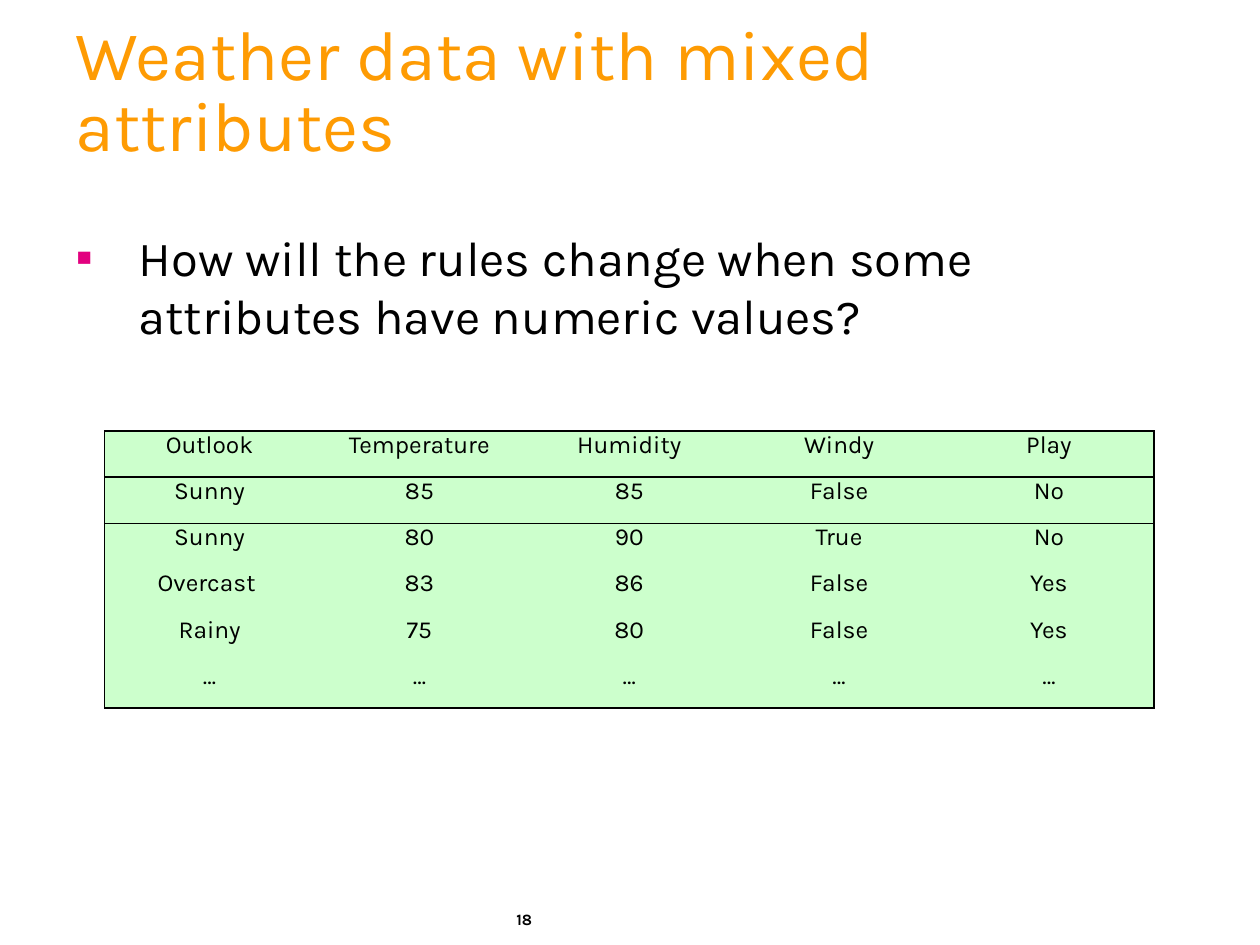
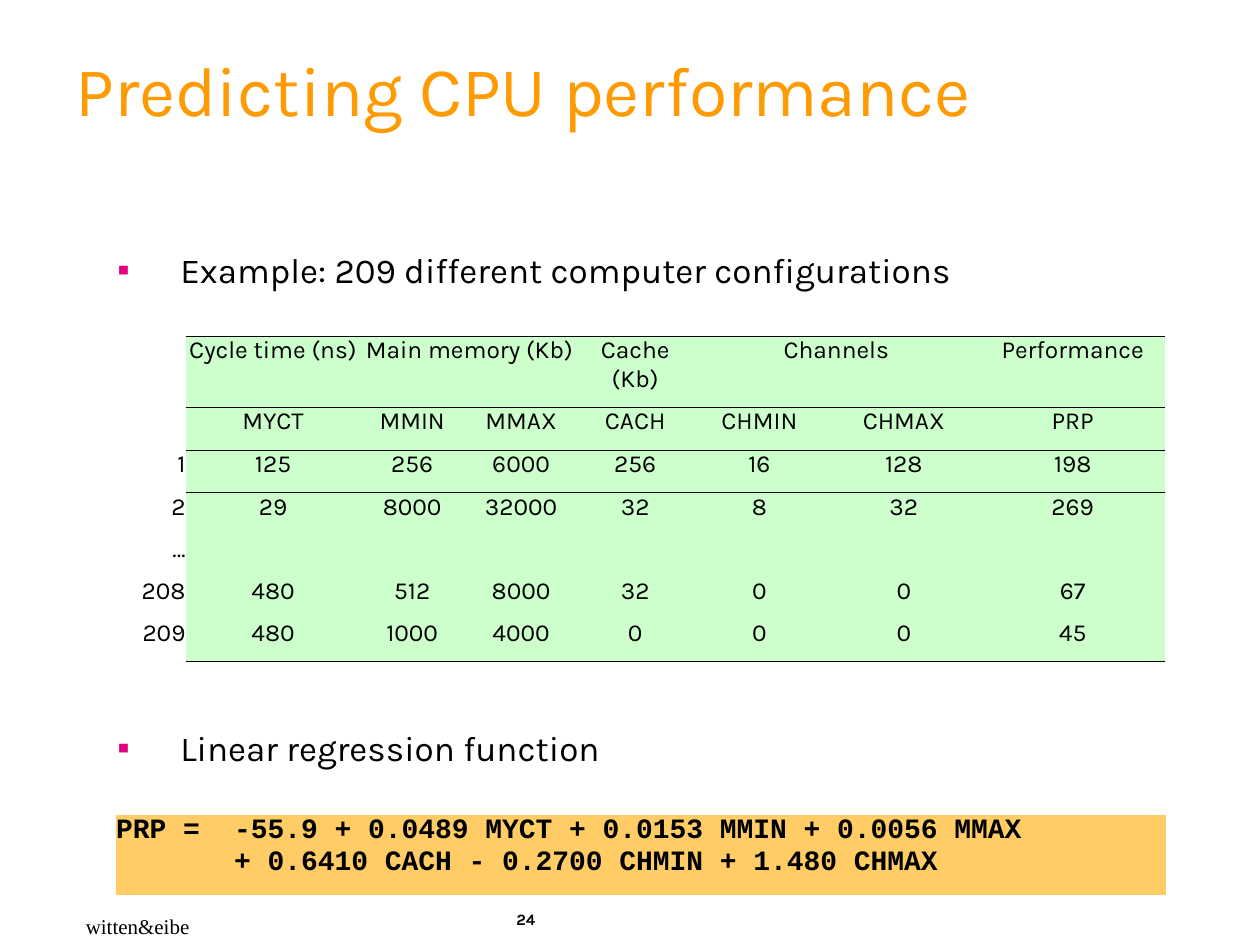
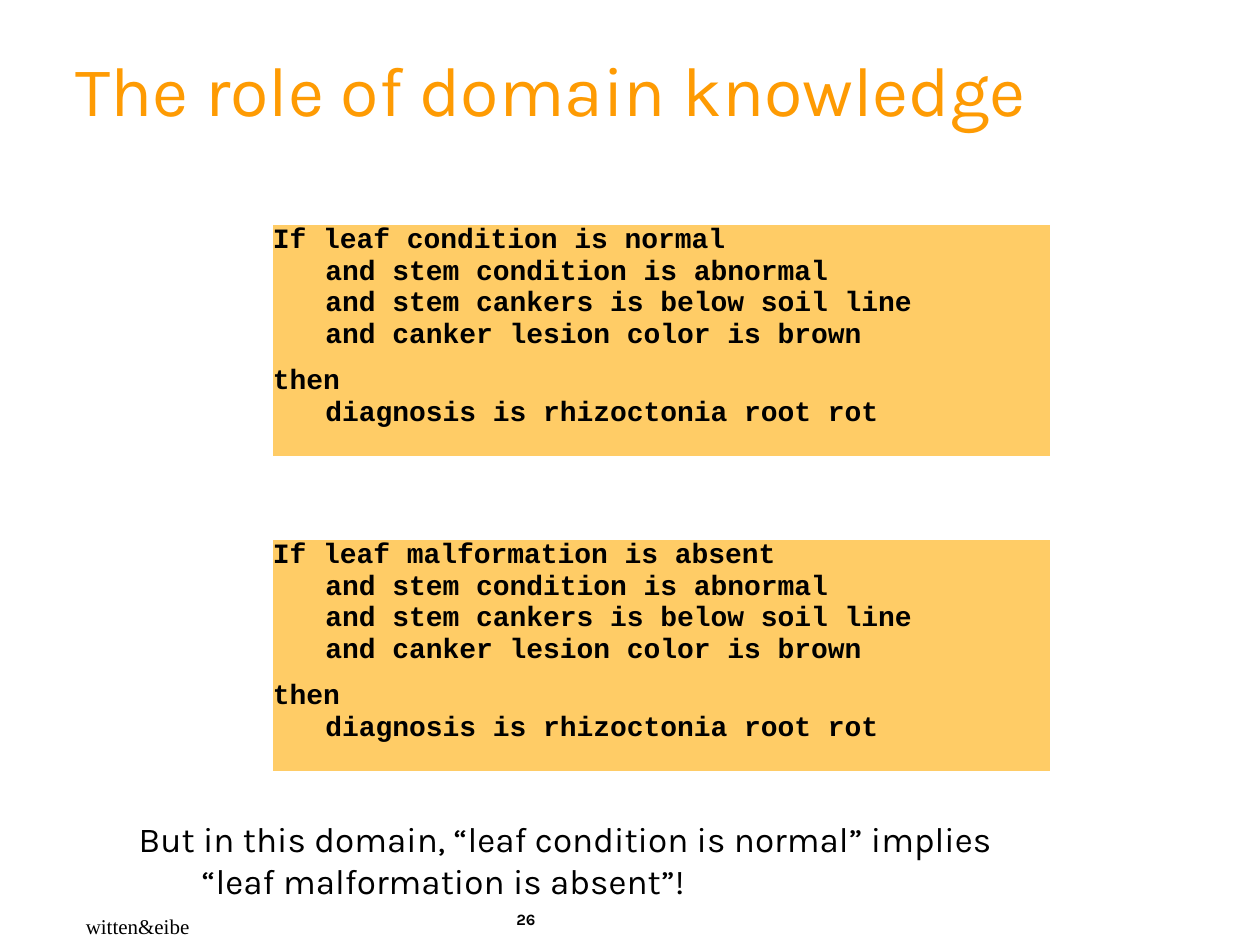
from lxml import etree
from pptx import Presentation
from pptx.dml.color import RGBColor
from pptx.enum import text
from pptx.oxml import ns
from pptx.util import Cm, Pt

COLORS = {"title": "FE9B03", "text": "000000", "bullet": "E2007F",
          "data": "CCFFCC", "rule": "FFCC66"}
BODY_FONT, CODE_FONT, CREDIT_FONT = "Karla", "Courier New", "Times New Roman"
PLAIN_TABLE = "{2D5ABB26-0587-4C30-8999-92F81FD0307C}"
LEFT, CENTER, RIGHT = (text.PP_ALIGN.LEFT, text.PP_ALIGN.CENTER,
                       text.PP_ALIGN.RIGHT)


def rgb(name):
    return RGBColor.from_string(COLORS[name])


def sub(parent, tag, **attrs):
    return etree.SubElement(parent, ns.qn(tag), attrs)


# Text
def write(p, words, size, font=BODY_FONT, color="text", bold=False, align=LEFT):
    p.text = words
    p.alignment = align
    for f in [p.font] + [r.font for r in p.runs]:
        f.name, f.size, f.bold = font, Pt(size), bold
        f.color.rgb = rgb(color)


def hang(p, indent):
    pPr = p._p.get_or_add_pPr()
    pPr.set("marL", str(Cm(indent)))
    pPr.set("indent", str(-Cm(indent)))
    return pPr


def place(sp, box):
    sp.left, sp.top, sp.width, sp.height = map(Cm, box)


def add_label(s, box, words, size, **style):
    tf = s.shapes.add_textbox(*map(Cm, box)).text_frame
    tf.word_wrap = True
    write(tf.paragraphs[0], words, size, **style)


# Slide frame: title, page number, credit
def add_slide(prs, title, number, credit=True):
    s = prs.slides.add_slide(prs.slide_layouts[1])
    place(s.shapes.title, (1.27, 0.64, 23.06, 2.54))
    tf = s.shapes.title.text_frame
    tf.auto_size = text.MSO_AUTO_SIZE.NONE
    tf.vertical_anchor = text.MSO_ANCHOR.MIDDLE
    write(tf.paragraphs[0], title, 40, color="title")
    tf.paragraphs[0].line_spacing = 0.85
    add_label(s, (10.16, 18.21, 2.59, 0.84), number, 9, bold=True)
    if credit:
        add_label(s, (1.48, 18.29, 3, 0.76), "witten&eibe", 12, font=CREDIT_FONT)
    return s


def fill_body(s, box, items, size, gap=0, bullets=True):
    sp = s.placeholders[1]
    place(sp, box)
    tf = sp.text_frame
    tf.auto_size = text.MSO_AUTO_SIZE.NONE
    for i, words in enumerate(items):
        p = tf.add_paragraph() if i else tf.paragraphs[0]
        pPr = hang(p, 1.27)
        if bullets:
            sub(sub(pPr, "a:buClr"), "a:srgbClr", val=COLORS["bullet"])
            sub(pPr, "a:buChar", char="▪")
        else:
            sub(pPr, "a:buNone")
        write(p, words, size)
        p.space_before = Pt(gap if i else 0)


# Tables
def add_table(s, left, top, widths, heights):
    frame = s.shapes.add_table(len(heights), len(widths), Cm(left), Cm(top),
                               Cm(sum(widths)), Cm(sum(heights)))
    table = frame.table
    table.first_row = table.horz_banding = False
    table._tbl.tblPr.find(ns.qn("a:tableStyleId")).text = PLAIN_TABLE
    for col, width in zip(table.columns, widths):
        col.width = Cm(width)
    for row, height in zip(table.rows, heights):
        row.height = Cm(height)
    for cell in table.iter_cells():
        cell.margin_left = cell.margin_right = 0
        cell.margin_top = cell.margin_bottom = 0
    return table


def paint(cell, color):
    cell.fill.solid()
    cell.fill.fore_color.rgb = rgb(color)


def draw_borders(cell, sides):
    tcPr = cell._tc.get_or_add_tcPr()
    for side in "LRTB":
        if side in sides:
            ln = sub(tcPr, "a:ln" + side, w=str(Pt(1)))
            sub(sub(ln, "a:solidFill"), "a:srgbClr", val=COLORS["text"])


def add_data_table(s, left, top, widths, heights, rows, ruled, labels=0,
                   framed=False):
    """Green data grid; the first `labels` columns stay clear."""
    table = add_table(s, left, top, widths, heights)
    last_row, last_col = len(rows) - 1, len(widths) - 1
    for i, row in enumerate(rows):
        for j, words in enumerate(row):
            cell = table.cell(i, j)
            is_label = j < labels
            write(cell.text_frame.paragraphs[0], words, 14,
                  align=RIGHT if is_label else CENTER)
            if is_label:
                cell.fill.background()
                continue
            sides = "T" if i == 0 else ""
            sides += "B" if i in ruled or i == last_row else ""
            if framed:
                sides += {0: "L", last_col: "R"}.get(j, "")
            draw_borders(cell, sides)
            paint(cell, "data")
    return table


def add_rule_box(s, left, top, width, height, parts, indent):
    cell = add_table(s, left, top, [width], [height]).cell(0, 0)
    paint(cell, "rule")
    tf = cell.text_frame
    for i, words in enumerate(parts):
        p = tf.add_paragraph() if i else tf.paragraphs[0]
        hang(p, indent)
        write(p, words, 16, font=CODE_FONT, bold=True)
        p.space_before = Pt(8 if i else 0)


# Slides
def weather_slide(prs):
    s = add_slide(prs, "Weather data with mixed attributes", "18", credit=False)
    fill_body(s, (1.27, 4.45, 23.06, 13.13),
              ["How will the rules change when some attributes have "
               "numeric values?"], 28)
    rows = [("Outlook", "Temperature", "Humidity", "Windy", "Play"),
            ("Sunny", "85", "85", "False", "No"),
            ("Sunny", "80", "90", "True", "No"),
            ("Overcast ", "83", "86", "False", "Yes"),
            ("Rainy", "75", "80", "False", "Yes"),
            ("…",) * 5]
    add_data_table(s, 2.11, 8.69, [4.23] * 5, [0.93] * 6, rows,
                   ruled=(0, 1), framed=True)


def cpu_slide(prs):
    s = add_slide(prs, "Predicting CPU performance", "24")
    fill_body(s, (2.11, 4.88, 22.02, 12.07),
              ["Example: 209 different computer configurations",
               "Linear regression function"], 20, gap=249)
    rows = [("", "Cycle time (ns)", "Main memory (Kb)", "", "Cache (Kb)",
             "Channels", "", "Performance"),
            ("", "MYCT", "MMIN", "MMAX", "CACH", "CHMIN", "CHMAX", "PRP"),
            ("1", "125", "256", "6000", "256", "16", "128", "198"),
            ("2", "29", "8000", "32000", "32", "8", "32", "269"),
            ("…",) + ("",) * 7,
            ("208", "480", "512", "8000", "32", "0", "0", "67"),
            ("209", "480", "1000", "4000", "0", "0", "0", "45")]
    widths = [1.83, 3.53, 2.08, 2.31, 2.29, 2.72, 3.1, 3.71]
    table = add_data_table(s, 1.91, 6.78, widths, [1.43, 0.87] + [0.85] * 5,
                           rows, ruled=(0, 1, 2), labels=1)
    for j in (2, 5):
        table.cell(0, j).merge(table.cell(0, j + 1))
    add_rule_box(s, 2.34, 16.43, 21.17, 1.61,
                 ["PRP =\t-55.9 + 0.0489 MYCT + 0.0153 MMIN + 0.0056 MMAX\n"
                  "+ 0.6410 CACH - 0.2700 CHMIN + 1.480 CHMAX"], 2.38)


def domain_slide(prs):
    s = add_slide(prs, "The role of domain knowledge", "26")
    conditions = ("leaf condition is normal", "leaf malformation is absent")
    for i, condition in enumerate(conditions):
        add_rule_box(s, 5.5, 4.54 + 6.35 * i, 15.67, 4.66,
                     [f"If {condition}\n"
                      "and stem condition is abnormal\n"
                      "and stem cankers is below soil line\n"
                      "and canker lesion color is brown",
                      "then\ndiagnosis is rhizoctonia root rot"], 1.06)
    fill_body(s, (2.54, 16.36, 20.96, 2.36),
              ["But in this domain, “leaf condition is normal” implies\n"
               "“leaf malformation is absent”!"], 20, bullets=False)


def main():
    prs = Presentation()
    prs.slide_width, prs.slide_height = Cm(25.4), Cm(19.05)
    weather_slide(prs)
    cpu_slide(prs)
    domain_slide(prs)
    prs.save("out.pptx")


if __name__ == "__main__":
    main()
